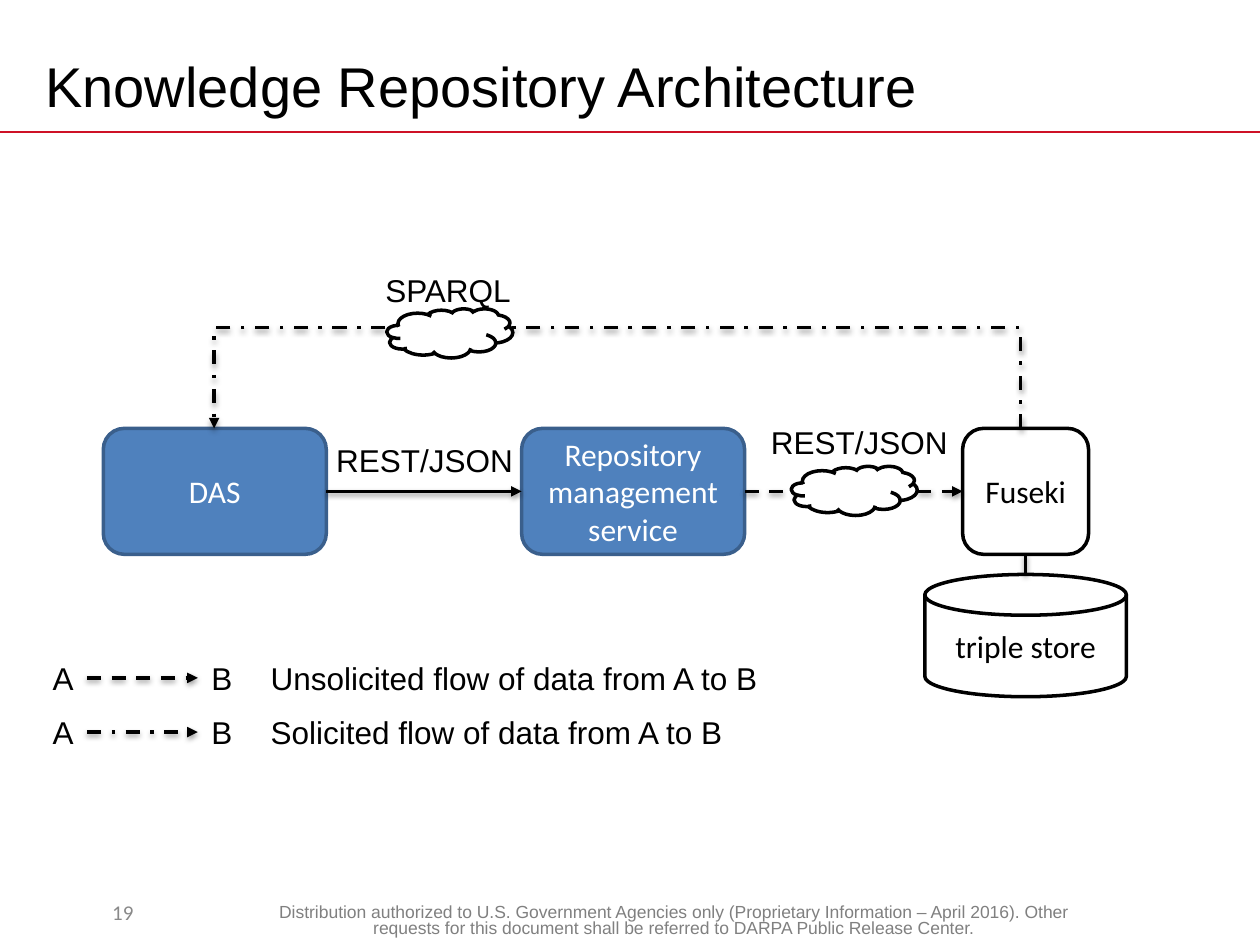
from dataclasses import dataclass

from lxml import etree
from pptx import Presentation
from pptx.dml.color import RGBColor
from pptx.enum.dml import MSO_LINE
from pptx.enum.shapes import MSO_CONNECTOR, MSO_SHAPE
from pptx.enum.text import MSO_ANCHOR, MSO_AUTO_SIZE, PP_ALIGN
from pptx.oxml.ns import qn
from pptx.util import Inches, Pt

STRAIGHT = MSO_CONNECTOR.STRAIGHT
ROUNDED, CLOUD, DISK = (MSO_SHAPE.ROUNDED_RECTANGLE, MSO_SHAPE.CLOUD,
                        MSO_SHAPE.FLOWCHART_MAGNETIC_DISK)
DASH, DASH_DOT = MSO_LINE.DASH, MSO_LINE.DASH_DOT
LEFT, CENTER = PP_ALIGN.LEFT, PP_ALIGN.CENTER
TOP, MIDDLE = MSO_ANCHOR.TOP, MSO_ANCHOR.MIDDLE
TITLE_ONLY = 5
UNIT = Inches(0.1)  # the slide is a grid of 100 columns by 75 rows


@dataclass(frozen=True)
class Theme:
    black: str = "000000"
    white: str = "FFFFFF"
    rule: str = "CE1126"
    blue: str = "4F81BD"
    blue_edge: str = "3A5F8C"
    footer: str = "808080"
    number: str = "898989"
    heading_font: str = "Arial"
    shape_font: str = "Calibri"
    title_size: int = 32
    body_size: int = 18
    number_size: int = 12
    footer_size: int = 10
    line_width: int = 2
    rule_width: int = 1


THEME = Theme()


@dataclass(frozen=True)
class Box:
    """An area in grid columns and rows."""
    left: float
    top: float
    width: float
    height: float

    def area(self, column, row, width, height):
        return Box(self.left + column, self.top + row, width, height)

    def point(self, column, row):
        return self.left + column, self.top + row

    def lengths(self):
        return [round(value * UNIT) for value in
                (self.left, self.top, self.width, self.height)]


def color(value):
    return RGBColor.from_string(value)


def write(frame, text, size, font, ink, align=LEFT, anchor=TOP):
    frame.text = text
    frame.vertical_anchor = anchor
    paragraph = frame.paragraphs[0]
    paragraph.alignment = align
    paragraph.font.size = Pt(size)
    paragraph.font.name = font
    paragraph.font.color.rgb = color(ink)
    return paragraph


def add_text(slide, box, text, size, font, ink, align=LEFT, anchor=TOP):
    frame = slide.shapes.add_textbox(*box.lengths()).text_frame
    frame.word_wrap = True
    return write(frame, text, size, font, ink, align, anchor)


def add_label(slide, box, text):
    frame = slide.shapes.add_textbox(*box.lengths()).text_frame
    frame.word_wrap = False
    frame.auto_size = MSO_AUTO_SIZE.SHAPE_TO_FIT_TEXT
    write(frame, text, THEME.body_size, THEME.heading_font, THEME.black)


def add_node(slide, box, kind, text="", fill=THEME.white, edge=THEME.black,
             ink=THEME.black):
    shape = slide.shapes.add_shape(kind, *box.lengths())
    shape.shadow.inherit = False
    shape.fill.solid()
    shape.fill.fore_color.rgb = color(fill)
    shape.line.color.rgb = color(edge)
    shape.line.width = Pt(THEME.line_width)
    if text:
        write(shape.text_frame, text, THEME.body_size, THEME.shape_font, ink,
              CENTER, MIDDLE)


def style_flow(shape, dash=None, arrow=True):
    """Black line with a soft shadow below it and an optional arrowhead."""
    shape.line.color.rgb = color(THEME.black)
    shape.line.width = Pt(THEME.line_width)
    if dash:
        shape.line.dash_style = dash
    properties = shape._element.spPr
    if arrow:
        etree.SubElement(properties.find(qn("a:ln")), qn("a:tailEnd"), type="triangle")
    effects = etree.SubElement(properties, qn("a:effectLst"))
    shadow = etree.SubElement(effects, qn("a:outerShdw"), blurRad=str(Pt(3.1)),
                              dist=str(Pt(1.6)), dir="5400000", rotWithShape="0")
    ink = etree.SubElement(shadow, qn("a:srgbClr"), val=THEME.black)
    etree.SubElement(ink, qn("a:alpha"), val="38000")


def add_line(slide, start, end):
    ends = [round(value * UNIT) for value in (*start, *end)]
    return slide.shapes.add_connector(STRAIGHT, *ends)


def add_flow(slide, start, end, dash=None, arrow=True):
    style_flow(add_line(slide, start, end), dash, arrow)


def add_bent_flow(slide, points, dash):
    builder = slide.shapes.build_freeform(*points[0], scale=UNIT)
    builder.add_line_segments(points[1:], close=False)
    shape = builder.convert_to_shape()
    shape.fill.background()
    style_flow(shape, dash)


def add_header(slide, box):
    rule = add_line(slide, (0, box.top + box.height), (100, box.top + box.height))
    rule.line.color.rgb = color(THEME.rule)
    rule.line.width = Pt(THEME.rule_width)
    etree.SubElement(rule._element.spPr, qn("a:effectLst"))
    title = slide.shapes.title
    title.left, title.top, title.width, title.height = box.lengths()
    write(title.text_frame, "Knowledge Repository Architecture",
          THEME.title_size, THEME.heading_font, THEME.black, LEFT, MIDDLE)


def add_architecture(slide, box):
    node_width, node_height, node_top = 17.7, 10, 13
    service_left, fuseki_left, store_top = 33.2, 68.2, 24.6
    middle = node_top + node_height / 2
    fuseki_center = fuseki_left + node_height / 2

    add_node(slide, box.area(65.2, store_top, 16, 9.7), DISK, "triple store")
    add_node(slide, box.area(fuseki_left, node_top, node_height, node_height),
             ROUNDED, "Fuseki")
    for left, text in ((0, "DAS"), (service_left, "Repository management service")):
        add_node(slide, box.area(left, node_top, node_width, node_height), ROUNDED,
                 text, THEME.blue, THEME.blue_edge, THEME.white)

    add_flow(slide, box.point(fuseki_center, node_top + node_height),
             box.point(fuseki_center, store_top), arrow=False)
    add_flow(slide, box.point(node_width, middle), box.point(service_left, middle))
    add_flow(slide, box.point(service_left + node_width, middle),
             box.point(fuseki_left, middle), DASH)
    route = ((fuseki_center, node_top), (fuseki_center, 5.3),
             (node_width / 2, 5.3), (node_width / 2, node_top))
    add_bent_flow(slide, [box.point(*corner) for corner in route], DASH_DOT)

    for left, top in ((54.6, 16), (22.5, 3.5)):
        add_node(slide, box.area(left, top, 10, 3.9), CLOUD)
    for left, top, width, text in ((21.4, 0, 12.1, "SPARQL"),
                                   (17.5, 13.5, 16.2, "REST/JSON"),
                                   (52, 12.1, 16.2, "REST/JSON")):
        add_label(slide, box.area(left, top, width, 4), text)


def add_legend(slide, box):
    entries = ((DASH, "Unsolicited flow of data from A to B", 41.9),
               (DASH_DOT, "Solicited flow of data from A to B", 38.2))
    row_height = box.height / len(entries)
    for index, (dash, meaning, width) in enumerate(entries):
        row = index * row_height
        add_flow(slide, box.point(3.7, row + 2), box.point(12.5, row + 2), dash)
        for left, label_width, text in ((0, 3.7, "A"), (12.6, 3.7, "B"),
                                        (17.3, width, meaning)):
            add_label(slide, box.area(left, row, label_width, 4), text)


def add_footer(slide, box):
    add_text(slide, box.area(0, 0, 13.9, 4), "19", THEME.number_size,
             THEME.shape_font, THEME.number, CENTER, MIDDLE)
    notice = add_text(
        slide, box.area(18.3, 0.9, 64.7, 3.1),
        "Distribution authorized to U.S. Government Agencies only (Proprietary "
        "Information – April 2016). Other requests for this document shall be "
        "referred to DARPA Public Release Center.",
        THEME.footer_size, THEME.heading_font, THEME.footer, CENTER)
    notice.line_spacing = 0.8


def main():
    presentation = Presentation()
    presentation.slide_width, presentation.slide_height = 100 * UNIT, 75 * UNIT
    slide = presentation.slides.add_slide(presentation.slide_layouts[TITLE_ONLY])
    add_header(slide, Box(2.6, 3, 90, 7.5))
    add_architecture(slide, Box(8.2, 21, 81.2, 34.3))
    add_legend(slide, Box(3.2, 51.8, 59.2, 8.6))
    add_footer(slide, Box(2.8, 70.4, 83, 4))
    presentation.save("out.pptx")


if __name__ == "__main__":
    main()
